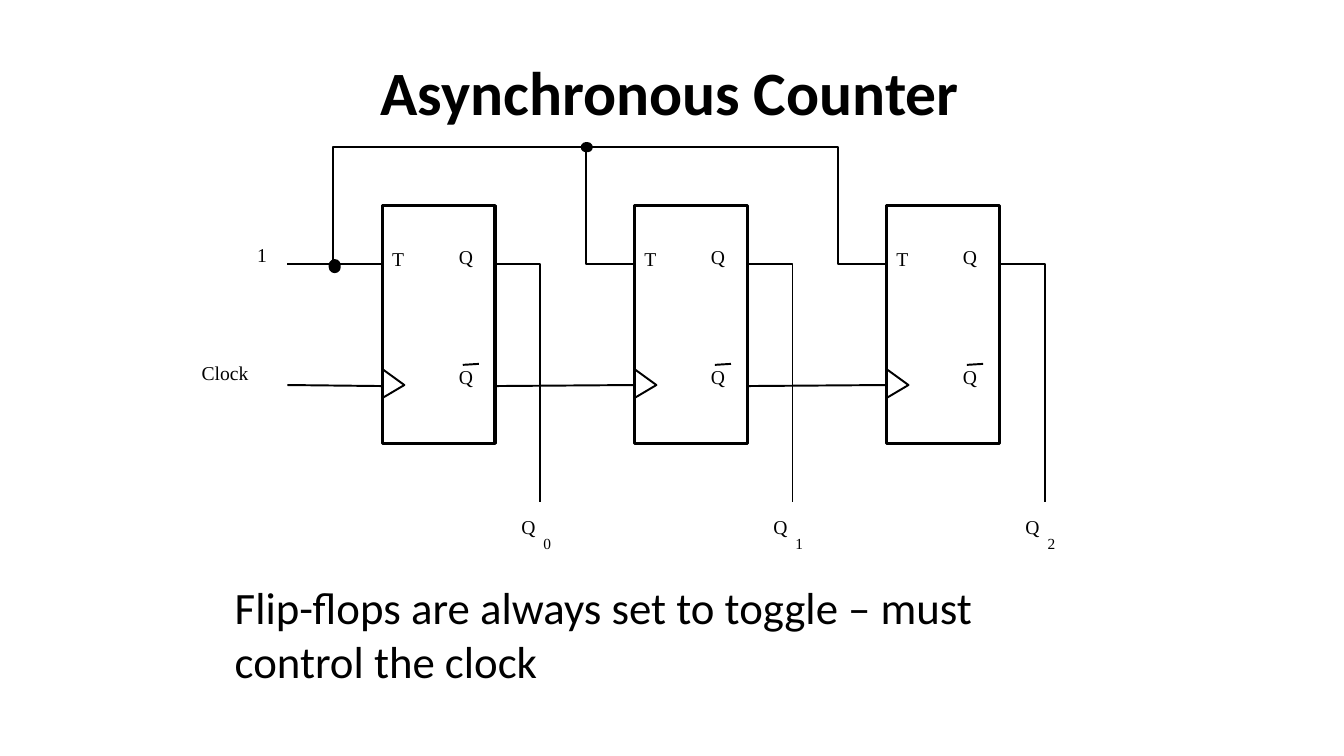
from lxml import etree
from pptx import Presentation
from pptx.dml.color import RGBColor
from pptx.enum.shapes import MSO_CONNECTOR, MSO_SHAPE
from pptx.enum.text import MSO_ANCHOR, PP_ALIGN
from pptx.oxml.ns import qn
from pptx.util import Pt

PX = 9144  # EMU in one px, 100 px to the inch
BLACK = RGBColor(0x00, 0x00, 0x00)
WHITE = RGBColor(0xFF, 0xFF, 0xFF)
HEADING_FONT = "Calibri"
LABEL_FONT = "Times New Roman"
RECTANGLE, ROUNDED = MSO_SHAPE.RECTANGLE, MSO_SHAPE.ROUNDED_RECTANGLE
STRAIGHT = MSO_CONNECTOR.STRAIGHT
TOP, MIDDLE = MSO_ANCHOR.TOP, MSO_ANCHOR.MIDDLE
LEFT, CENTER = PP_ALIGN.LEFT, PP_ALIGN.CENTER

WIRE_WIDTH = 1.38
BOX_LINE_WIDTH = 2.25

# Circuit grid
FIRST_X, PITCH = 379, 250
BOX_TOP, BOX_WIDTH, BOX_HEIGHT = 204, 112, 236
INPUT_X = 285
HIGH_Y, T_Y, CLOCK_Y, OUTPUT_Y = 146, 262, 382, 498


def emu(*lengths):
    return [length * PX for length in lengths]


def add_text(page, place, text, size, font):
    box = page.shapes.add_textbox(*emu(*place))
    frame = box.text_frame
    frame.word_wrap = True
    frame.text = text
    span = frame.paragraphs[0].runs[0]
    span.font.size = Pt(size)
    span.font.name = font
    span.font.color.rgb = BLACK
    return frame


def add_heading(page, place, text, size, bold, align):
    frame = add_text(page, place, text, size, HEADING_FONT)
    frame.vertical_anchor = MIDDLE
    para = frame.paragraphs[0]
    para.alignment = align
    para.runs[0].font.bold = bold


def add_label(page, x, y, text, width=32, height=47, size=14):
    frame = add_text(page, (x, y, width, height), text, size, LABEL_FONT)
    frame.vertical_anchor = TOP
    frame.margin_left = frame.margin_right = 0
    frame.margin_top = frame.margin_bottom = 0


def add_box(page, kind, place, fill, line_width):
    box = page.shapes.add_shape(kind, *emu(*place))
    box.shadow.inherit = False
    box.fill.solid()
    box.fill.fore_color.rgb = fill
    box.line.color.rgb = BLACK
    box.line.width = Pt(line_width)
    return box


def add_dot(page, *place):
    dot = add_box(page, ROUNDED, place, BLACK, WIRE_WIDTH)
    dot.adjustments[0] = 0.5


def add_line(page, *ends):
    line = page.shapes.add_connector(STRAIGHT, *emu(*ends))
    line.line.color.rgb = BLACK
    line.line.width = Pt(WIRE_WIDTH)
    properties = line._element.find(qn("p:spPr"))
    etree.SubElement(properties, qn("a:effectLst"))


def add_bent_wire(page, start, *corners):
    builder = page.shapes.build_freeform(*start, scale=PX)
    builder.add_line_segments(corners, close=False)
    wire = builder.convert_to_shape()
    wire.shadow.inherit = False
    wire.fill.background()
    wire.line.color.rgb = BLACK
    wire.line.width = Pt(WIRE_WIDTH)


def add_flip_flop(page, x, number):
    right = x + BOX_WIDTH
    place = (x, BOX_TOP, BOX_WIDTH, BOX_HEIGHT)
    add_box(page, RECTANGLE, place, WHITE, BOX_LINE_WIDTH)

    # Pins, with the bar of the inverted output
    add_label(page, x + 10, 245, "T", width=26)
    add_label(page, x + 76, 243, "Q")
    add_label(page, x + 76, 362, "Q")
    add_line(page, x + 96, 361, x + 80, 362)
    add_bent_wire(page, (x, 395), (x + 22, CLOCK_Y), (x, 366))

    # Output wire and its label
    output_x = right + 45
    add_bent_wire(page, (output_x, OUTPUT_Y), (output_x, T_Y), (right, T_Y))
    add_label(page, x + 138, 511, "Q")
    add_label(page, x + 160, 530, str(number), width=20, height=37, size=11)


def main():
    deck = Presentation()
    deck.slide_width, deck.slide_height = emu(1333, 750)
    page = deck.slides.add_slide(deck.slide_layouts[6])

    add_heading(page, (98, 28, 1133, 125), "Asynchronous Counter", 44, True, CENTER)

    # Flip-flops
    columns = [FIRST_X + PITCH * number for number in range(3)]
    for number, x in enumerate(columns):
        add_flip_flop(page, x, number)
    first, second, third = columns

    # Clock chain
    add_label(page, 200, 358, "Clock", width=84)
    add_line(page, INPUT_X, CLOCK_Y, first, CLOCK_Y + 1)
    for x in (second, third):
        add_line(page, x, CLOCK_Y, x - PITCH + BOX_WIDTH, CLOCK_Y + 1)

    # Constant 1 to every T input
    add_label(page, 255, 241, "1", width=25)
    add_line(page, INPUT_X, T_Y, first, T_Y)
    first_drop, second_drop, third_drop = 330, second - 48, third - 48
    add_bent_wire(page, (third, T_Y), (third_drop, T_Y), (third_drop, HIGH_Y),
                  (first_drop, HIGH_Y), (first_drop, T_Y))
    add_bent_wire(page, (second, T_Y), (second_drop, T_Y), (second_drop, HIGH_Y))
    add_dot(page, 327, 258, 10, 12)
    add_dot(page, 577, 142, 10, 8)

    add_heading(page, (223, 566, 850, 125),
                "Flip-flops are always set to toggle – must control the clock",
                32, False, LEFT)

    deck.save("out.pptx")


if __name__ == "__main__":
    main()
